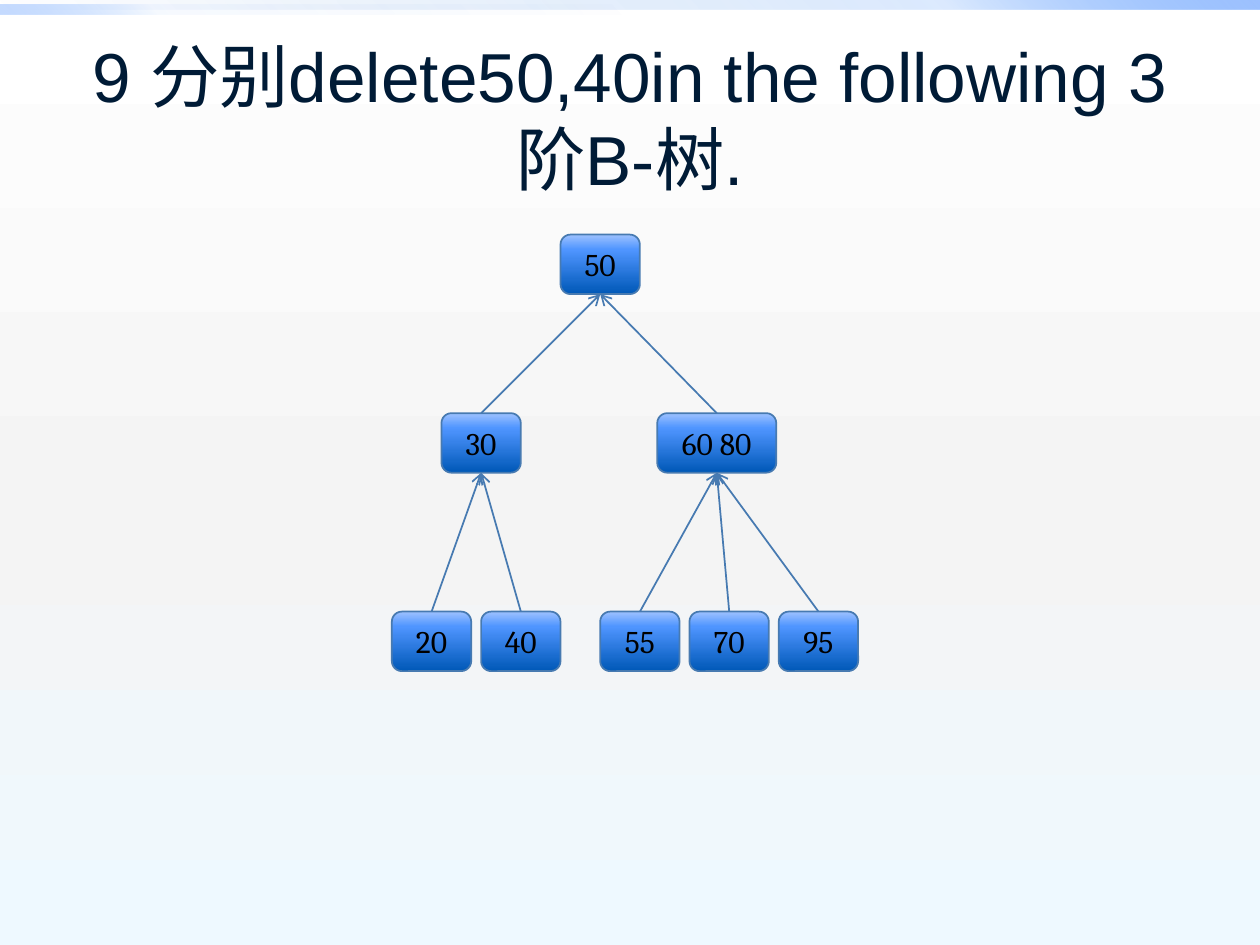
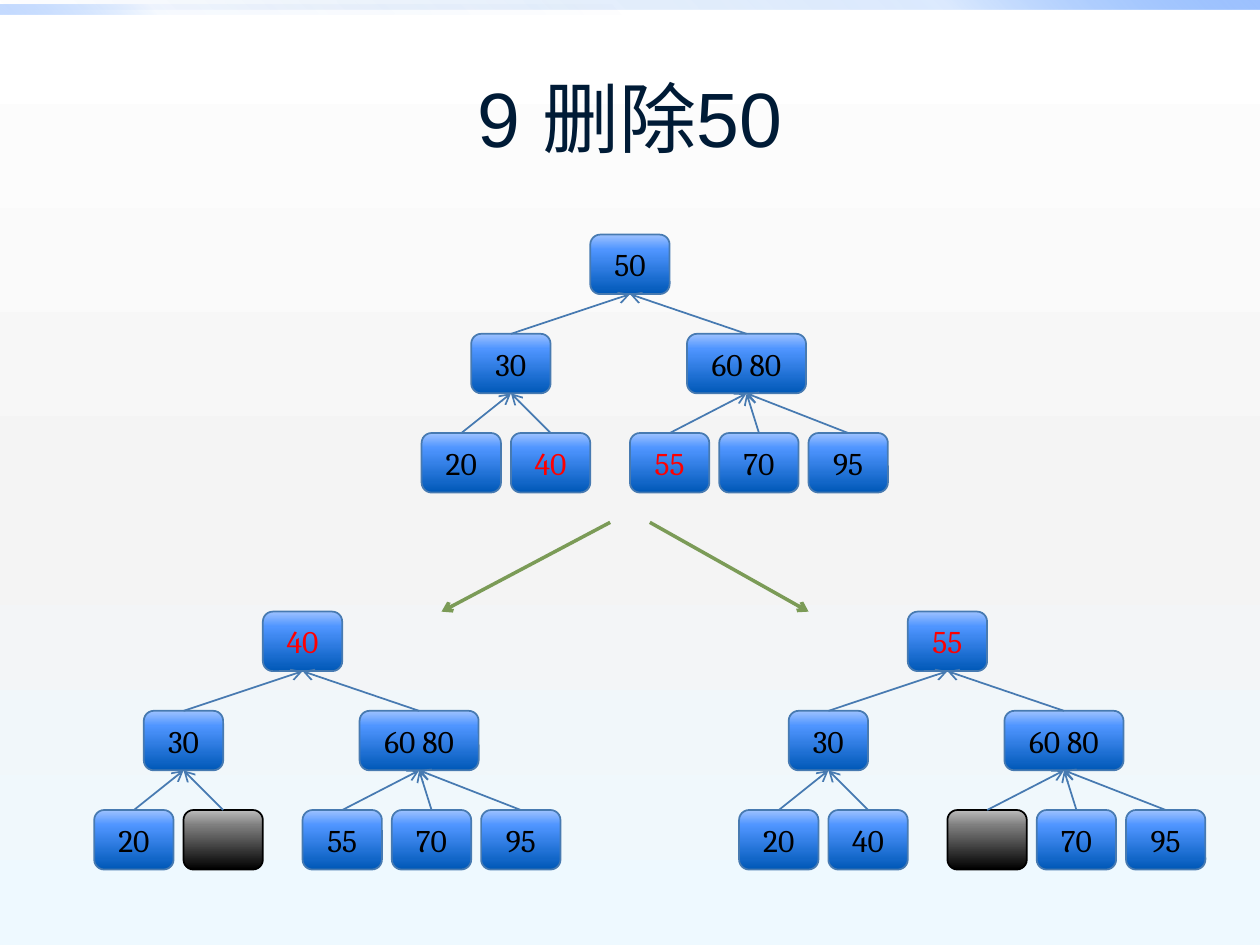
from lxml.etree import SubElement
from pptx import Presentation
from pptx.dml.color import RGBColor
from pptx.enum.shapes import MSO_CONNECTOR, MSO_SHAPE
from pptx.enum.text import MSO_ANCHOR, PP_ALIGN
from pptx.oxml.ns import qn
from pptx.util import Cm, Pt

WHITE = RGBColor(0xFF, 0xFF, 0xFF)
PALE_GREY = RGBColor(0xF4, 0xF4, 0xF4)
PALE_BLUE = RGBColor(0xEE, 0xF9, 0xFF)
DEEP_BLUE = RGBColor(0x00, 0x58, 0xB7)
MID_BLUE = RGBColor(0x4F, 0x95, 0xFF)
LIGHT_BLUE = RGBColor(0x9E, 0xC2, 0xFF)
EDGE_BLUE = RGBColor(0x47, 0x7A, 0xB1)
BLACK = RGBColor(0x00, 0x00, 0x00)
MID_GREY = RGBColor(0x7F, 0x7F, 0x7F)
LIGHT_GREY = RGBColor(0xBD, 0xBD, 0xBD)
TITLE_NAVY = RGBColor(0x00, 0x1B, 0x36)
RED = RGBColor(0xFF, 0x00, 0x00)
GREEN = RGBColor(0x7B, 0x9B, 0x57)

BLUES = (DEEP_BLUE, MID_BLUE, LIGHT_BLUE)
GREYS = (BLACK, MID_GREY, LIGHT_GREY)

# left, top, width, height (cm), opacity of each stop, angle
BANDS = [
    (0, 0, 25.4, 0.2, (0, 20, 100), 315),
    (0, 0.1, 12.7, 0.2, (0, 5, 60), 135),
]

KEY_HEIGHT = 1.2
# key: level, left relative to the root, width (cm), parent
TREE = {
    "50": (0, 0, 1.6, None),
    "30": (1, -2.4, 1.6, "50"),
    "60 80": (1, 1.95, 2.4, "50"),
    "20": (2, -3.4, 1.6, "30"),
    "40": (2, -1.6, 1.6, "30"),
    "55": (2, 0.8, 1.6, "60 80"),
    "70": (2, 2.6, 1.6, "60 80"),
    "95": (2, 4.4, 1.6, "60 80"),
}

# title, size, and trees:
# root left, level tops, red keys, key moved into the root
SLIDES = [
    ("9 分别delete50,40in the following 3阶B-树.", 39.6, [
        (11.3, (4.73, 8.33, 12.33), (), None),
    ]),
    ("9 删除50", 44, [
        (11.9, (4.73, 6.73, 8.73), ("40", "55"), None),
        (5.3, (12.33, 14.33, 16.33), ("40",), "40"),
        (18.3, (12.33, 14.33, 16.33), ("55",), "55"),
    ]),
]


def paint_gradient(owner, colors, angle, positions=(0, 75, 100), opacities=(100, 100, 100)):
    """Give a shape, or the background of a master, a three-stop linear gradient."""
    fill = owner.background.fill if hasattr(owner, "background") else owner.fill
    fill.gradient()
    gradient = owner._element.find(".//" + qn("a:gradFill"))
    for child in list(gradient):
        gradient.remove(child)
    stops = SubElement(gradient, qn("a:gsLst"))
    for position, color, opacity in zip(positions, colors, opacities):
        stop = SubElement(stops, qn("a:gs"), pos=str(position * 1000))
        tint = SubElement(stop, qn("a:srgbClr"), val=str(color))
        if opacity < 100:
            SubElement(tint, qn("a:alpha"), val=str(opacity * 1000))
    SubElement(gradient, qn("a:lin"), ang=str(angle * 60000), scaled="0")


def draw_arrow(slide, start, end, color, width):
    arrow = slide.shapes.add_connector(MSO_CONNECTOR.STRAIGHT, *start, *end)
    arrow.line.color.rgb = color
    arrow.line.width = Pt(width)
    SubElement(arrow.line._get_or_add_ln(), qn("a:tailEnd"), type="arrow")
    SubElement(arrow._element.spPr, qn("a:effectLst"))
    return arrow


prs = Presentation()
prs.slide_width, prs.slide_height = Cm(25.4), Cm(19.05)
paint_gradient(prs.slide_master, (WHITE, PALE_GREY, PALE_BLUE), 90, positions=(0, 55, 100))

for title, title_size, trees in SLIDES:
    slide = prs.slides.add_slide(prs.slide_layouts[6])

    for left, top, width, height, opacities, angle in BANDS:
        band = slide.shapes.add_shape(
            MSO_SHAPE.RECTANGLE, Cm(left), Cm(top), Cm(width), Cm(height))
        band.shadow.inherit = False
        band.line.fill.background()
        paint_gradient(band, BLUES, angle, opacities=opacities)

    heading = slide.shapes.add_textbox(Cm(1.27), Cm(0.76), Cm(22.86), Cm(3.18)).text_frame
    heading.word_wrap = True
    heading.vertical_anchor = MSO_ANCHOR.MIDDLE
    heading.paragraphs[0].alignment = PP_ALIGN.CENTER
    run = heading.paragraphs[0].add_run()
    run.text = title
    run.font.name = "Arial"
    run.font.size = Pt(title_size)
    run.font.color.rgb = TITLE_NAVY

    for root_left, level_tops, red_keys, moved_key in trees:
        nodes = {}
        for key, (level, offset, width, parent) in TREE.items():
            node = slide.shapes.add_shape(
                MSO_SHAPE.ROUNDED_RECTANGLE, Cm(root_left + offset),
                Cm(level_tops[level]), Cm(width), Cm(KEY_HEIGHT))
            nodes[key] = node
            node.shadow.inherit = False
            emptied = key == moved_key
            paint_gradient(node, GREYS if emptied else BLUES, 270)
            node.line.color.rgb = BLACK if emptied else EDGE_BLUE
            node.line.width = Pt(1)
            if not emptied:
                label = moved_key if moved_key and parent is None else key
                node.text_frame.vertical_anchor = MSO_ANCHOR.MIDDLE
                paragraph = node.text_frame.paragraphs[0]
                paragraph.alignment = PP_ALIGN.CENTER
                run = paragraph.add_run()
                run.text = label
                run.font.name = "Cambria"
                run.font.size = Pt(18)
                run.font.color.rgb = RED if label in red_keys else BLACK
            if parent:
                link = draw_arrow(slide, (0, 0), (0, 0), EDGE_BLUE, 1)
                link.begin_connect(node, 0)
                link.end_connect(nodes[parent], 2)

# The two possible results of deleting 50
for start_x, end_x in ((12.3, 8.9), (13.1, 16.3)):
    draw_arrow(slide, (Cm(start_x), Cm(10.53)), (Cm(end_x), Cm(12.33)), GREEN, 2)

prs.save("out.pptx")
